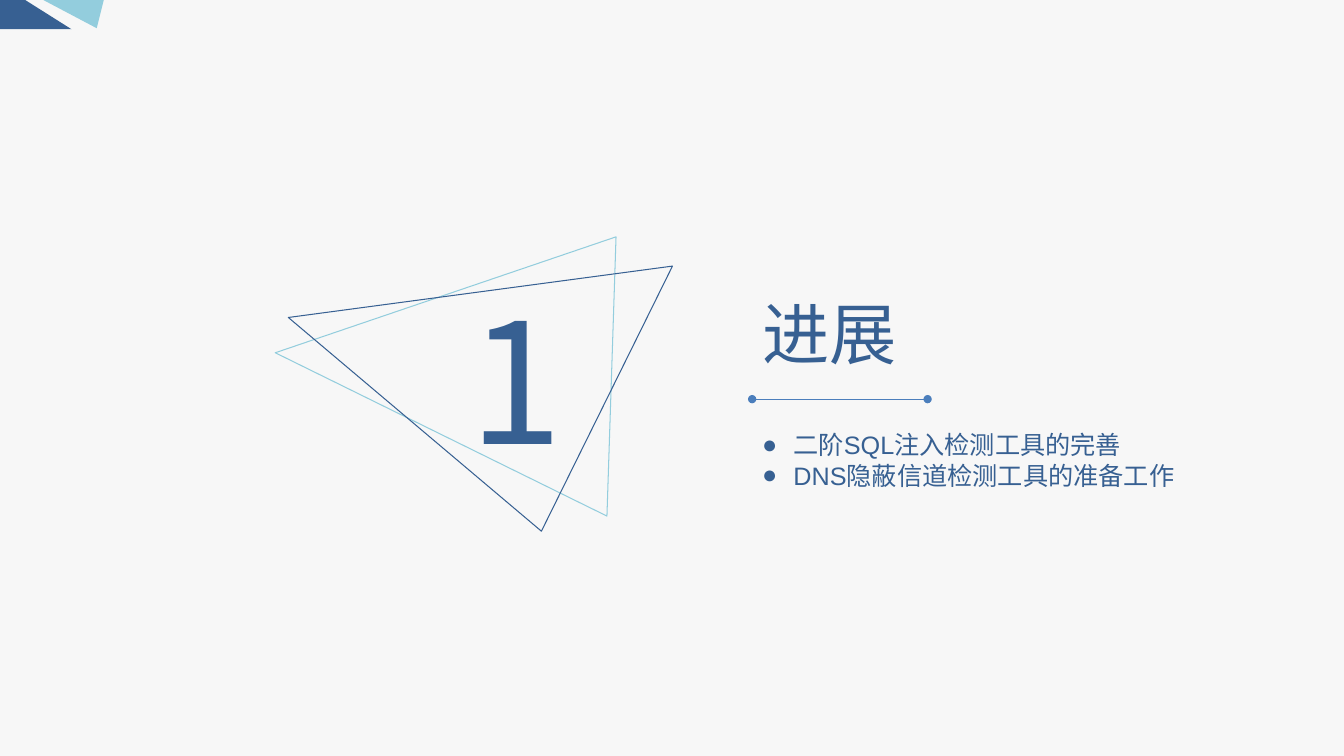
import pptx
import pptx.dml.color
import pptx.enum.shapes
import pptx.enum.text
import pptx.oxml
import pptx.oxml.ns
import pptx.util
from pptx.util import Inches

COLORS = {"background": "F7F7F7", "navy": "376092", "sky": "93CDDD", "rule": "4B7EBC"}
CJK_FONT = "Noto Sans CJK SC"
TEXT_LEFT = 7.46


def rgb(name):
    return pptx.dml.color.RGBColor.from_string(COLORS[name])


def add_xml(parent, tag, **attributes):
    element = pptx.oxml.parse_xml(f"<a:{tag} {pptx.oxml.ns.nsdecls('a')}/>")
    for key, value in attributes.items():
        element.set(key, value)
    parent.append(element)


def place(shape, left, top, width, height):
    shape.left, shape.top = Inches(left), Inches(top)
    shape.width, shape.height = Inches(width), Inches(height)


def write_text(shape, lines, size, font=CJK_FONT, wrap=False, bullet=None, spacing=None):
    frame = shape.text_frame
    frame.text = "\n".join(lines)
    frame.word_wrap = wrap
    frame.auto_size = pptx.enum.text.MSO_AUTO_SIZE.NONE
    frame.vertical_anchor = pptx.enum.text.MSO_ANCHOR.TOP
    for paragraph in frame.paragraphs:
        paragraph.alignment = pptx.enum.text.PP_ALIGN.LEFT
        paragraph.space_before = pptx.util.Pt(0)
        paragraph.line_spacing = spacing
        if bullet:
            properties = paragraph._p.get_or_add_pPr()
            properties.set("marL", str(Inches(0.31)))
            properties.set("indent", str(-Inches(0.31)))
            add_xml(properties, "buFont", typeface=font)
            add_xml(properties, "buChar", char=bullet)
        for run in paragraph.runs:
            run.font.size = pptx.util.Pt(size)
            run.font.name = font
            run.font.color.rgb = rgb("navy")
            add_xml(run._r.get_or_add_rPr(), "ea", typeface=font)


def add_polygon(slide, points, fill=None, line=None):
    corners = [(Inches(x), Inches(y)) for x, y in points]
    builder = slide.shapes.build_freeform(*corners[0])
    builder.add_line_segments(corners[1:], close=True)
    polygon = builder.convert_to_shape()
    polygon.shadow.inherit = False
    if fill:
        polygon.fill.solid()
        polygon.fill.fore_color.rgb = rgb(fill)
    else:
        polygon.fill.background()
    if line:
        polygon.line.color.rgb = rgb(line)
        polygon.line.width = pptx.util.Pt(0.75)
    else:
        polygon.line.fill.background()


def add_dotted_end_rule(slide, left, right, y):
    rule = slide.shapes.add_connector(
        pptx.enum.shapes.MSO_CONNECTOR.STRAIGHT,
        Inches(left), Inches(y), Inches(right), Inches(y))
    rule.line.color.rgb = rgb("rule")
    rule.line.width = pptx.util.Pt(0.75)
    for end in ("headEnd", "tailEnd"):
        add_xml(rule.line._get_or_add_ln(), end, type="oval")
    add_xml(rule._element.spPr, "effectLst")


def main():
    deck = pptx.Presentation()
    deck.slide_width, deck.slide_height = Inches(13.33), Inches(7.5)
    slide = deck.slides.add_slide(deck.slide_layouts[1])
    slide.background.fill.solid()
    slide.background.fill.fore_color.rgb = rgb("background")

    # Section title
    title = slide.shapes.title
    place(title, TEXT_LEFT, 2.84, 1.55, 0.91)
    write_text(title, ["进展"], 48, spacing=pptx.util.Pt(58))

    # Crossed triangles around the section number
    add_polygon(slide, [(2.73, 3.5), (6.02, 5.12), (6.11, 2.35)], line="sky")
    add_polygon(slide, [(2.86, 3.15), (6.67, 2.64), (5.37, 5.27)], line="navy")
    number = slide.shapes.add_textbox(Inches(4.56), Inches(2.68), Inches(1.19), Inches(2.12))
    write_text(number, ["1"], 120, spacing=pptx.util.Pt(145))

    # Corner decoration
    add_polygon(slide, [(0.43, 0), (0.96, 0.28), (1.03, 0)], fill="sky")
    add_polygon(slide, [(0.71, 0.29), (0.25, 0), (0, 0), (0, 0.29)], fill="navy")

    # Rule and topics
    add_dotted_end_rule(slide, TEXT_LEFT, 9.2, 3.96)
    topics = slide.placeholders[1]
    place(topics, TEXT_LEFT, 4.21, 4.33, 0.71)
    write_text(topics, ["二阶SQL注入检测工具的完善", "DNS隐蔽信道检测工具的准备工作"], 18,
               font="Arial", wrap=True, bullet="●", spacing=pptx.util.Pt(21.7))

    deck.save("out.pptx")


if __name__ == "__main__":
    main()
